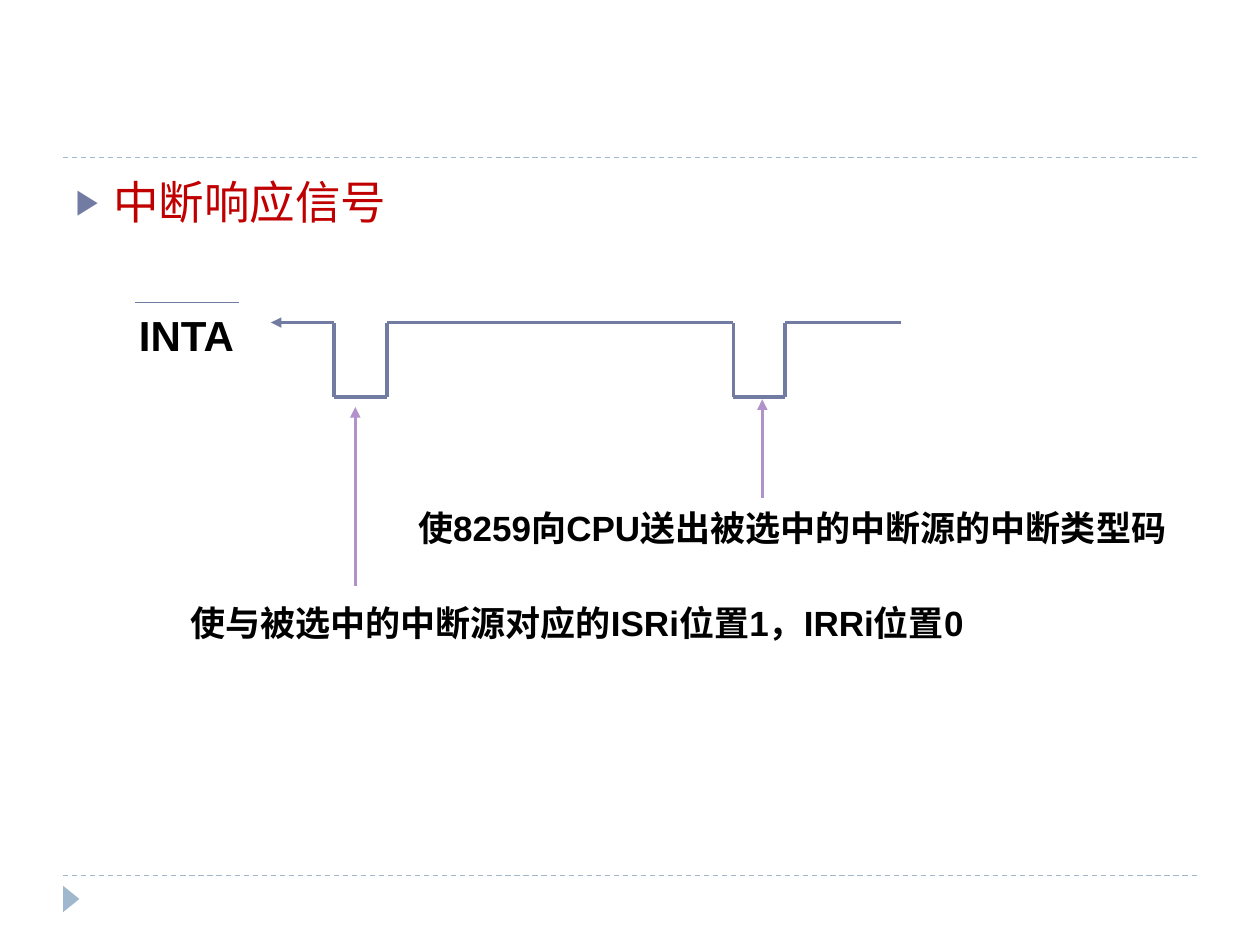
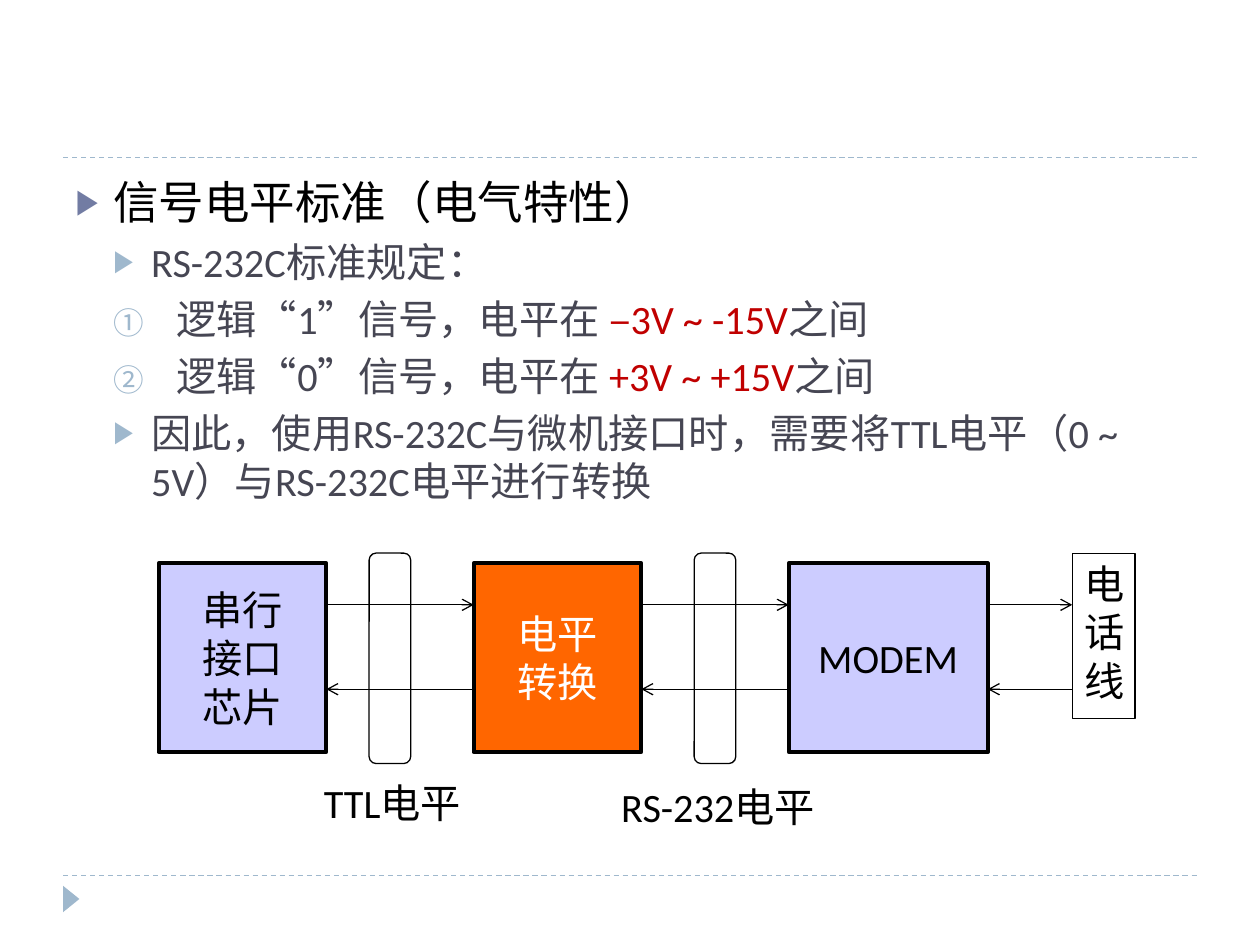
"""Build two lecture slides: interrupt acknowledge timing and RS-232C levels."""
import itertools
from dataclasses import dataclass

import pptx
import pptx.dml.color
import pptx.enum.dml
import pptx.enum.shapes
import pptx.enum.text
import pptx.oxml.ns
import pptx.util
from lxml import etree

RGBColor = pptx.dml.color.RGBColor
Shapes = pptx.enum.shapes.MSO_SHAPE
Align = pptx.enum.text.PP_ALIGN
Anchor = pptx.enum.text.MSO_ANCHOR

BLACK = RGBColor(0x00, 0x00, 0x00)
WHITE = RGBColor(0xFF, 0xFF, 0xFF)
INDIGO = RGBColor(0x72, 0x7C, 0xA3)
PALE_BLUE = RGBColor(0x9F, 0xB8, 0xCD)
SLATE = RGBColor(0x46, 0x46, 0x53)
RED = RGBColor(0xC0, 0x00, 0x00)
PURPLE = RGBColor(0xB2, 0x92, 0xCA)
LILAC = RGBColor(0xCC, 0xCC, 0xFF)
ORANGE = RGBColor(0xFF, 0x66, 0x00)

COLUMNS, ROWS = 100, 75
CELL = pptx.util.Inches(0.1)


@dataclass
class Box:
    """A region of the slide in grid columns and rows."""
    left: float
    top: float
    width: float
    height: float

    def inner(self, column, row, width, height):
        """Return a box placed relative to this one."""
        return Box(self.left + column, self.top + row, width, height)

    def lengths(self):
        """Return left, top, width and height as slide lengths."""
        return [round(value * CELL) for value in
                (self.left, self.top, self.width, self.height)]


PAGE = Box(0, 0, COLUMNS, ROWS)
BODY = Box(5, 13.3, 90, 54)


def add_xml(parent, tag, **attributes):
    """Append a DrawingML element with the given attributes."""
    return etree.SubElement(parent, pptx.oxml.ns.qn(tag), attributes)


def write_text(paragraph, text, color=BLACK, size=23, font="Calibri", bold=False,
               align=None, line_spacing=None):
    """Write a formatted run into a paragraph."""
    run = paragraph.add_run()
    run.text = text
    run.font.name, run.font.size = font, pptx.util.Pt(size)
    run.font.bold = bold
    run.font.color.rgb = color
    if align is not None:
        paragraph.alignment = align
    if line_spacing:
        paragraph.line_spacing = line_spacing


def fill_frame(frame, lines, wrap=True, anchor=Anchor.TOP, **text_format):
    """Write one paragraph per line into a text frame."""
    frame.word_wrap, frame.vertical_anchor = wrap, anchor
    for index, line in enumerate(lines):
        paragraph = frame.add_paragraph() if index else frame.paragraphs[0]
        write_text(paragraph, line, **text_format)


def add_label(slide, box, text, wrap=True, **text_format):
    """Add a text box holding one paragraph."""
    label = slide.shapes.add_textbox(*box.lengths())
    fill_frame(label.text_frame, [text], wrap=wrap, **text_format)


def add_block(slide, box, preset=Shapes.RECTANGLE, fill=None, line=BLACK, width=0.75):
    """Add a preset shape with plain fill and outline."""
    shape = slide.shapes.add_shape(preset, *box.lengths())
    shape.shadow.inherit = False
    if fill is None:
        shape.fill.background()
    else:
        shape.fill.solid()
        shape.fill.fore_color.rgb = fill
    if line is None:
        shape.line.fill.background()
    else:
        shape.line.color.rgb = line
        shape.line.width = pptx.util.Pt(width)
    return shape


def add_line(slide, box, start, end, color=BLACK, width=0.75, dashed=False, arrow=None):
    """Join two points of a box, with an optional arrowhead at the end."""
    points = [round(value * CELL) for column, row in (start, end)
              for value in (box.left + column, box.top + row)]
    connector = slide.shapes.add_connector(pptx.enum.shapes.MSO_CONNECTOR.STRAIGHT, *points)
    connector.line.color.rgb = color
    connector.line.width = pptx.util.Pt(width)
    if dashed:
        connector.line.dash_style = pptx.enum.dml.MSO_LINE.DASH
    if arrow:
        add_xml(connector.line._get_or_add_ln(), "a:tailEnd", type=arrow)
    add_xml(connector._element.spPr, "a:effectLst")


def set_bullet(paragraph, color, margin, hanging, numbered=False):
    """Give a paragraph its indents and a triangle or circled number."""
    properties = paragraph._p.get_or_add_pPr()
    properties.set("marL", str(pptx.util.Inches(margin)))
    properties.set("indent", str(-pptx.util.Inches(hanging)))
    add_xml(add_xml(properties, "a:buClr"), "a:srgbClr", val=str(color))
    add_xml(properties, "a:buSzPct", val="76000")
    if numbered:
        add_xml(properties, "a:buAutoNum", type="circleNumDbPlain")
    else:
        add_xml(properties, "a:buChar", char="▶")


def add_page(presentation, heading, **heading_format):
    """Add a slide with its rules, corner mark and bulleted heading."""
    slide = presentation.slides.add_slide(presentation.slide_layouts[1])
    title = slide.shapes.title._element
    title.getparent().remove(title)
    for row in (69.5, 12.5):
        add_line(slide, PAGE, (5, row), (95, row), color=PALE_BLUE, dashed=True)
    mark = add_block(slide, PAGE.inner(4.6, 70.7, 2.1, 1.3),
                     Shapes.ISOSCELES_TRIANGLE, PALE_BLUE, line=None)
    mark.rotation = 90

    body = slide.placeholders[1]
    body.left, body.top, body.width, body.height = BODY.lengths()
    frame = body.text_frame
    frame.auto_size = pptx.enum.text.MSO_AUTO_SIZE.NONE
    paragraph = frame.paragraphs[0]
    set_bullet(paragraph, INDIGO, 0.3, 0.3)
    paragraph.space_before = pptx.util.Pt(0)
    write_text(paragraph, heading, size=26, **heading_format)
    return slide, frame


def add_point(frame, *parts, numbered=False):
    """Add a second-level point made of (text, colour) parts."""
    paragraph = frame.add_paragraph()
    paragraph.level = 1
    margin, hanging = (0.8, 0.5) if numbered else (0.6, 0.3)
    set_bullet(paragraph, PALE_BLUE, margin, hanging, numbered)
    paragraph.space_before = pptx.util.Pt(5)
    for text, color in parts:
        write_text(paragraph, text, color=color)


def draw_waveform(slide, box):
    """Draw the INTA signal with its two low pulses."""
    high, low = 2.6, 8.5
    add_line(slide, box, (0.7, 1), (9, 1), color=INDIGO)
    add_label(slide, box.inner(-0.2, 0.3, 10, 5.9), "INTA", wrap=False, size=24,
              font="Arial", bold=True, align=Align.CENTER, line_spacing=1.2)
    corners = [(61.5, high)]
    for fall, rise in ((48.2, 52.3), (16.5, 20.7)):
        corners += [(rise, high), (rise, low), (fall, low), (fall, high)]
    for start, end in itertools.pairwise(corners):
        add_line(slide, box, start, end, color=INDIGO, width=2)
    add_line(slide, box, corners[-1], (11.5, high), color=INDIGO, width=2, arrow="triangle")


def draw_pulse_notes(slide, box):
    """Explain each pulse with an arrow and a note."""
    notes = (
        ((50.5, 16.5), (50.5, 8.7), (22.2, 16, 61.6, 4.8),
         "使8259向CPU送出被选中的中断源的中断类型码"),
        ((18.2, 23.5), (18.2, 9.3), (4.1, 23.6, 66.2, 5),
         "使与被选中的中断源对应的ISRi位置1，IRRi位置0"),
    )
    for start, tip, place, text in notes:
        add_line(slide, box, start, tip, color=PURPLE, width=2, arrow="triangle")
        add_label(slide, box.inner(*place), text, size=20, font="Arial", bold=True,
                  line_spacing=1.2)


def draw_level_chain(slide, box):
    """Draw the chain from the serial chip to the telephone line."""
    for column in (42.5, 16.7):
        add_block(slide, box.inner(column, 0, 3.3, box.height), Shapes.ROUNDED_RECTANGLE)

    stages = (
        (["串行", "接口", "芯片"], 13.3, LILAC, BLACK),
        (["电平", "转换"], 13.3, ORANGE, WHITE),
        (["MODEM"], 15.8, LILAC, BLACK),
    )
    pitch, upper, lower = 25, 4.1, 10.8
    phone_left = 72.5
    starts = [0, pitch, 2 * pitch, phone_left]
    for index, (lines, width, fill, color) in enumerate(stages):
        left, following = starts[index], starts[index + 1]
        stage = add_block(slide, box.inner(left, 0.8, width, 15), fill=fill, width=2.25)
        fill_frame(stage.text_frame, lines, wrap=False, anchor=Anchor.MIDDLE,
                   color=color, align=Align.CENTER)
        right = left + width
        add_line(slide, box, (right, upper), (following, upper), arrow="arrow")
        add_line(slide, box, (following, lower), (right, lower), arrow="arrow")

    phone = add_block(slide, box.inner(phone_left, 0, 5, 13.1))
    fill_frame(phone.text_frame, ["电话线"], align=Align.CENTER)
    for place, text in (((9.8, 17.4, 17.5, 5.1), "TTL电平"),
                        ((33.8, 17.7, 21.2, 5.1), "RS-232电平")):
        add_label(slide, box.inner(*place), text, align=Align.CENTER)


def build_interrupt_slide(presentation):
    """Build the interrupt acknowledge slide."""
    slide, _ = add_page(presentation, "中断响应信号", color=RED, font="Arial")
    timing = PAGE.inner(10, 23, 84, 29)
    draw_waveform(slide, timing)
    draw_pulse_notes(slide, timing)


def build_level_slide(presentation):
    """Build the signal level standard slide."""
    slide, frame = add_page(presentation, "信号电平标准（电气特性）")
    add_point(frame, ("RS-232C标准规定：", SLATE))
    for digit, levels in (("1", "–3V ~ -15V"), ("0", "+3V ~ +15V")):
        add_point(frame, (f"逻辑“{digit}”信号，电平在 ", SLATE), (levels, RED),
                  ("之间", SLATE), numbered=True)
    add_point(frame, ("因此，使用RS-232C与微机接口时，需要将TTL电平（0 ~ 5V）"
                      "与RS-232C电平进行转换", SLATE))
    draw_level_chain(slide, PAGE.inner(12.6, 43.9, 77.5, 16.7))


def main():
    """Build and save the presentation."""
    presentation = pptx.Presentation()
    presentation.slide_width = COLUMNS * CELL
    presentation.slide_height = ROWS * CELL
    build_interrupt_slide(presentation)
    build_level_slide(presentation)
    presentation.save("out.pptx")


if __name__ == "__main__":
    main()
